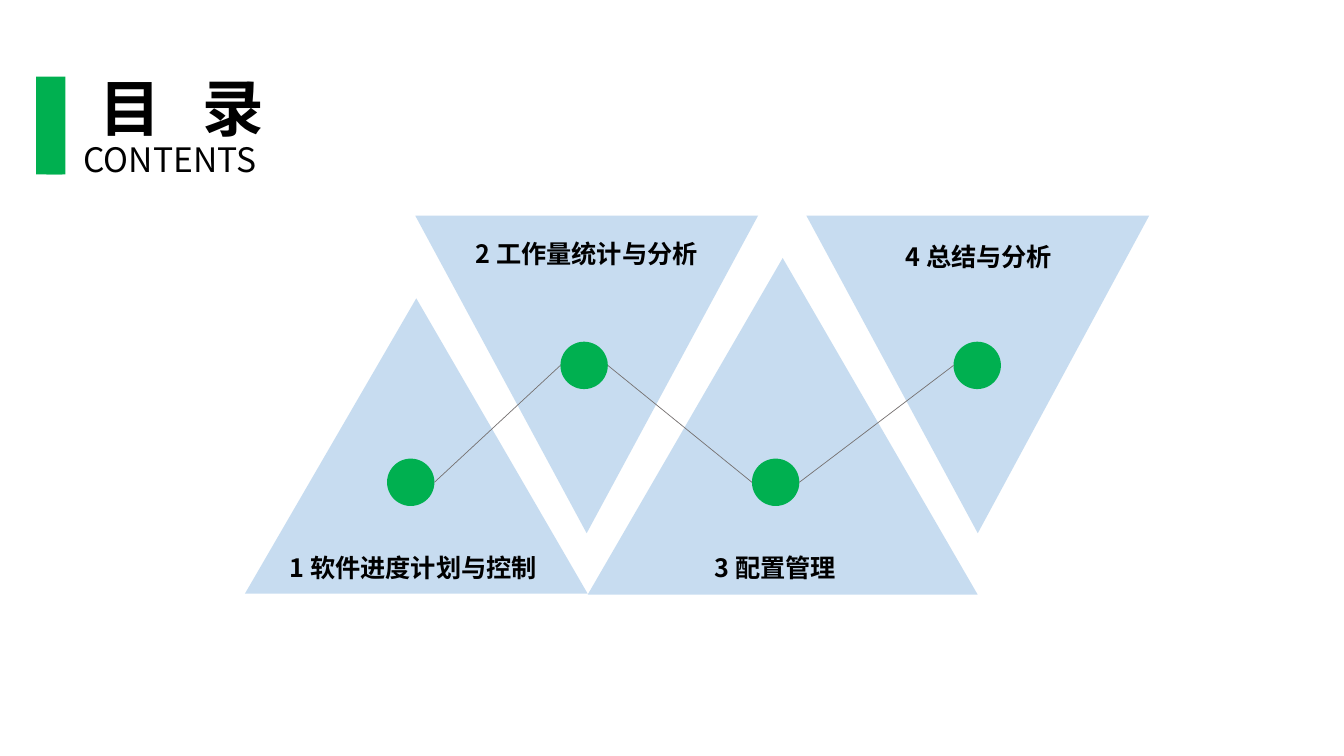
"""Build a contents slide with four linked triangles on a 160 by 90 grid."""
from dataclasses import dataclass
from itertools import pairwise

import lxml.etree
import pptx
import pptx.dml.color
import pptx.enum.shapes
import pptx.enum.text
import pptx.oxml.ns
import pptx.util

COLUMNS, ROWS = 160, 90
SLIDE_WIDTH = pptx.util.Inches(13.33)
SLIDE_HEIGHT = pptx.util.Inches(7.5)
FONT = "Noto Sans CJK SC"
COLORS = {"accent": "00B050", "triangle": "5B9BD5", "link": "767171", "text": "000000"}
TRIANGLE_ALPHA = 34
DOT_SIZE = 5.64
LABEL_WIDTH, LABEL_HEIGHT = 36, 4.8
SHAPES = pptx.enum.shapes.MSO_SHAPE
ALIGN = pptx.enum.text.PP_ALIGN


@dataclass(frozen=True)
class Area:
    column: float
    row: float
    width: float
    height: float


@dataclass(frozen=True)
class Chapter:
    label: str
    triangle: Area
    label_at: tuple[float, float]
    dot_at: tuple[float, float]
    points_down: bool


@dataclass(frozen=True)
class Heading:
    text: str
    area: Area
    size: int
    bold: bool
    align: pptx.enum.text.PP_ALIGN
    spacing: int = 0


CHAPTERS = [
    Chapter("1 软件进度计划与控制", Area(29.16, 35.52, 40.8, 35.16), (31.2, 65.16), (46.08, 54.6), False),
    Chapter("2 工作量统计与分析", Area(49.44, 25.68, 40.8, 37.8), (51.84, 27.84), (66.72, 40.68), True),
    Chapter("3 配置管理", Area(69.96, 30.72, 46.44, 40.08), (74.28, 65.16), (89.52, 54.6), False),
    Chapter("4 总结与分析", Area(96, 25.68, 40.8, 37.8), (98.52, 28.08), (113.52, 40.68), True),
]
HEADINGS = [
    Heading("目 录", Area(8.64, 7.68, 26.04, 10.08), 44, True, ALIGN.CENTER, 10),
    Heading("CONTENTS", Area(8.76, 15.96, 23.76, 6), 24, False, ALIGN.LEFT),
]
ACCENT_BARS = [
    Area(4.32, 9.12, 3.48, 11.64),
    Area(6.84, 9.24, 0.6, 10.92),
    Area(5.52, 9.24, 1.92, 0.6),
    Area(5.52, 20.16, 1.92, 0.6),
]


def across(columns: float) -> int:
    return round(SLIDE_WIDTH * columns / COLUMNS)


def down(rows: float) -> int:
    return round(SLIDE_HEIGHT * rows / ROWS)


def place(area: Area) -> tuple[int, int, int, int]:
    return across(area.column), down(area.row), across(area.width), down(area.height)


def color(name: str) -> pptx.dml.color.RGBColor:
    return pptx.dml.color.RGBColor.from_string(COLORS[name])


def add_filled(slide: pptx.slide.Slide, kind: SHAPES, area: Area, fill: str) -> pptx.shapes.autoshape.Shape:
    figure = slide.shapes.add_shape(kind, *place(area))
    figure.shadow.inherit = False
    figure.fill.solid()
    figure.fill.fore_color.rgb = color(fill)
    figure.line.fill.background()
    return figure


def add_triangle(slide: pptx.slide.Slide, chapter: Chapter) -> None:
    triangle = add_filled(slide, SHAPES.ISOSCELES_TRIANGLE, chapter.triangle, "triangle")
    triangle.rotation = 180 if chapter.points_down else 0
    tint = triangle.fill._xPr.find(".//" + pptx.oxml.ns.qn("a:srgbClr"))
    alpha = lxml.etree.SubElement(tint, pptx.oxml.ns.qn("a:alpha"))
    alpha.set("val", str(TRIANGLE_ALPHA * 1000))


def add_heading(slide: pptx.slide.Slide, heading: Heading) -> None:
    frame = slide.shapes.add_textbox(*place(heading.area)).text_frame
    frame.word_wrap = True
    frame.text = heading.text
    paragraph = frame.paragraphs[0]
    paragraph.alignment = heading.align
    for run in paragraph.runs:
        run.font.name = FONT
        run.font.size = pptx.util.Pt(heading.size)
        run.font.bold = heading.bold
        run.font.color.rgb = color("text")
        properties = run._r.get_or_add_rPr()
        east_asian = lxml.etree.SubElement(properties, pptx.oxml.ns.qn("a:ea"))
        east_asian.set("typeface", FONT)
        if heading.spacing:
            properties.set("spc", str(heading.spacing * 100))


def add_link(slide: pptx.slide.Slide, start: Chapter, end: Chapter) -> None:
    link = slide.shapes.add_connector(
        pptx.enum.shapes.MSO_CONNECTOR.STRAIGHT,
        across(start.dot_at[0] + DOT_SIZE),
        down(start.dot_at[1] + DOT_SIZE / 2),
        across(end.dot_at[0]),
        down(end.dot_at[1] + DOT_SIZE / 2),
    )
    link.line.color.rgb = color("link")
    link.line.width = pptx.util.Pt(0.5)
    lxml.etree.SubElement(link._element.spPr, pptx.oxml.ns.qn("a:effectLst"))


def main() -> None:
    deck = pptx.Presentation()
    deck.slide_width, deck.slide_height = SLIDE_WIDTH, SLIDE_HEIGHT
    contents = deck.slides.add_slide(deck.slide_layouts[6])

    for chapter in sorted(CHAPTERS, key=lambda item: item.points_down, reverse=True):
        add_triangle(contents, chapter)
    for bar in ACCENT_BARS:
        add_filled(contents, SHAPES.RECTANGLE, bar, "accent")
    for heading in HEADINGS:
        add_heading(contents, heading)
    for chapter in CHAPTERS:
        label_area = Area(*chapter.label_at, LABEL_WIDTH, LABEL_HEIGHT)
        add_heading(contents, Heading(chapter.label, label_area, 18, True, ALIGN.CENTER))
        add_filled(contents, SHAPES.OVAL, Area(*chapter.dot_at, DOT_SIZE, DOT_SIZE), "accent")
    for start, end in pairwise(CHAPTERS):
        add_link(contents, start, end)

    deck.save("out.pptx")


if __name__ == "__main__":
    main()
